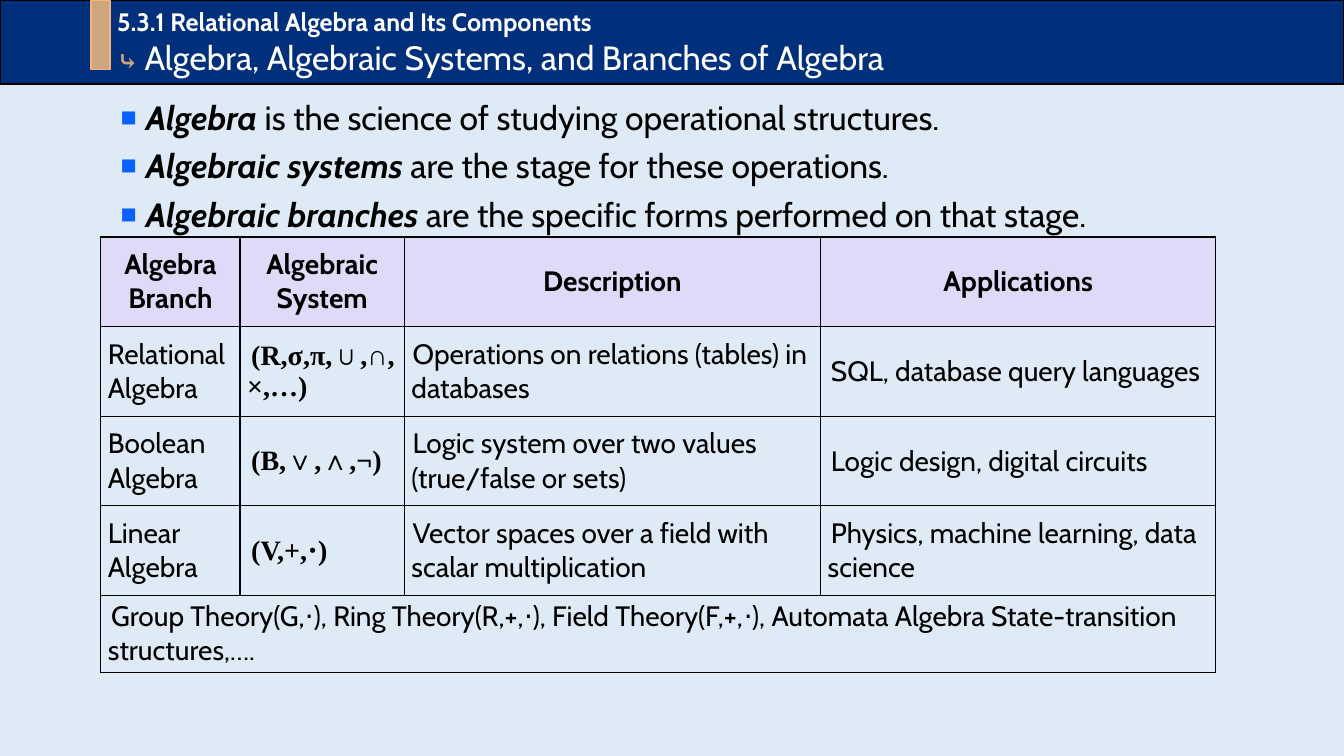
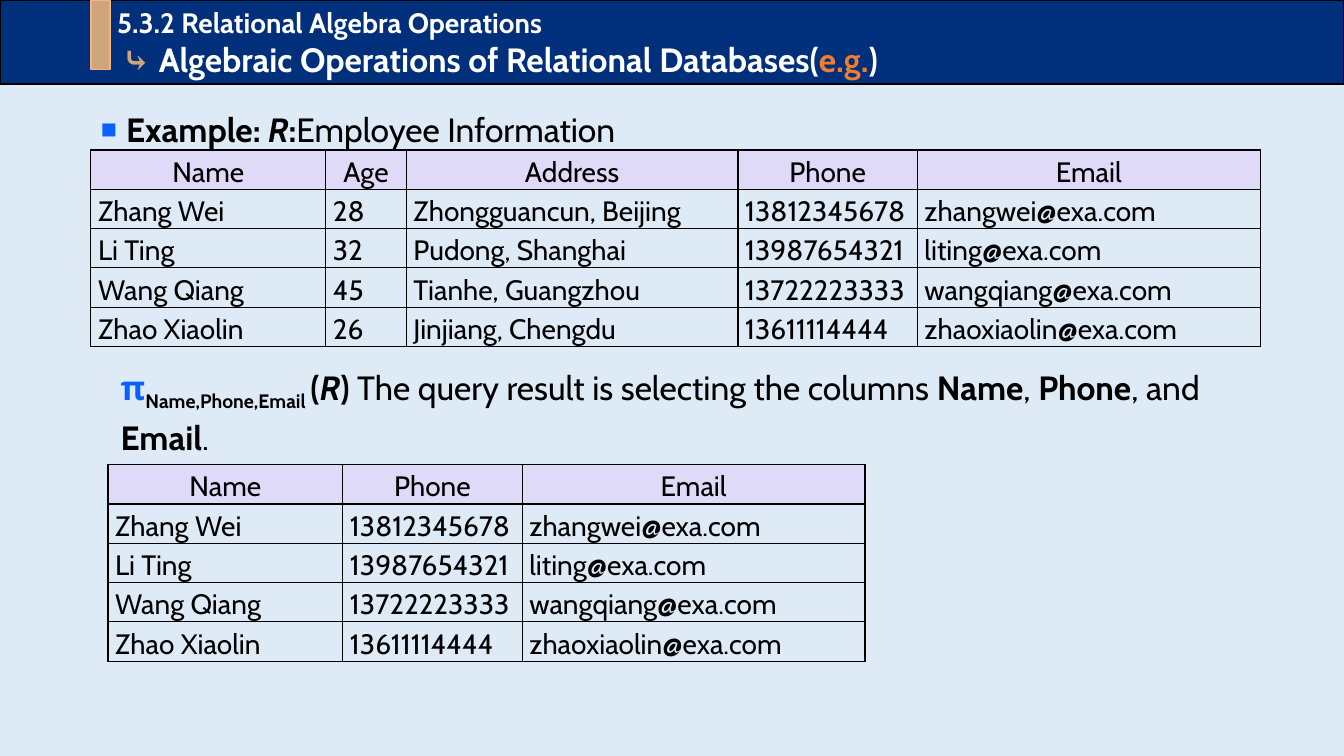
from dataclasses import dataclass
from lxml import etree
from pptx import Presentation
from pptx.dml.color import RGBColor
from pptx.enum import shapes, text
from pptx.oxml.ns import qn
from pptx.util import Cm, Pt


@dataclass(frozen=True)
class Theme:
    back: str = "DEEBF7"
    navy: str = "002F7C"
    tan: str = "CFA57C"
    peach: str = "F4B183"
    orange: str = "ED7D31"
    blue: str = "0B61FF"
    lilac: str = "DEDAF8"
    black: str = "000000"
    white: str = "FFFFFF"
    font: str = "Cabin"
    serif: str = "Times New Roman"
    small: int = 18
    cell: int = 20
    large: int = 24


T = Theme()
WIDE = 33.87
ALIGN = text.PP_ALIGN
NO_STYLE = "{2D5ABB26-0587-4C30-8999-92F81FD0307C}"
BOLD = {"bold": True}
TERM = {"bold": True, "ital": True}


def rgb(hue):
    return RGBColor.from_string(hue)


def put(para, words, size=T.large, hue=T.black, font=T.font,
        bold=False, ital=False, base=0):
    """Add one run; base is the shift from the baseline in percent."""
    run = para.add_run()
    run.text = words
    face = run.font
    face.size, face.name, face.bold, face.italic = Pt(size), font, bold, ital
    face.color.rgb = rgb(hue)
    if base:
        run._r.get_or_add_rPr().set("baseline", str(base * 1000))


def dent(para, left=0, first=0):
    props = para._p.get_or_add_pPr()
    props.set("marL", str(Cm(left)))
    props.set("indent", str(Cm(first)))
    return props


def bullet(para):
    props = dent(para, 0.64, -0.64)
    hue = etree.SubElement(props, qn("a:buClr"))
    etree.SubElement(hue, qn("a:srgbClr"), val=T.blue)
    etree.SubElement(props, qn("a:buSzPct"), val="80000")
    etree.SubElement(props, qn("a:buFont"), typeface="Arial")
    etree.SubElement(props, qn("a:buChar"), char="■")


def paint(shape, fill, line):
    shape.fill.solid()
    shape.fill.fore_color.rgb = rgb(fill)
    shape.line.color.rgb = rgb(line)
    shape.line.width = Pt(1)


def place(shape, x, y, w, h):
    shape.left, shape.top, shape.width, shape.height = map(Cm, (x, y, w, h))


def head(slide, section, topic, size, shift=0):
    """Fill the title band; topic is a list of (words, format) runs."""
    band = slide.shapes.title
    place(band, 0, 0, WIDE, 2.12)
    paint(band, T.navy, T.black)
    frame = band.text_frame
    frame.margin_left = Cm(2.95)
    frame.vertical_anchor = text.MSO_ANCHOR.MIDDLE
    frame.auto_size = text.MSO_AUTO_SIZE.NONE
    top, sub = frame.paragraphs[0], frame.add_paragraph()
    for para in (top, sub):
        para.alignment = ALIGN.LEFT
    put(top, section, size=size, hue=T.white, bold=True)
    dent(sub, shift)
    for words, form in topic:
        put(sub, words, **{"hue": T.white, **form})
    bar = slide.shapes.add_shape(shapes.MSO_SHAPE.RECTANGLE,
                                 Cm(2.29), 0, Cm(0.48), Cm(1.75))
    bar.shadow.inherit = False
    paint(bar, T.tan, T.peach)


def body(slide, box, lines, space=1.1, marks=True):
    """Write lines, each a list of (words, format) runs, into a box."""
    frame = slide.shapes.add_textbox(*map(Cm, box)).text_frame
    frame.word_wrap = True
    for i, line in enumerate(lines):
        para = frame.add_paragraph() if i else frame.paragraphs[0]
        para.line_spacing = space
        if i:
            para.space_before = Pt(3)
        if marks:
            bullet(para)
        for words, form in line:
            put(para, words, **form)


def edge(cell):
    props = cell._tc.get_or_add_tcPr()
    for i, side in enumerate(("lnL", "lnR", "lnT", "lnB")):
        line = etree.Element(qn("a:" + side), w=str(Pt(1)))
        fill = etree.SubElement(line, qn("a:solidFill"))
        etree.SubElement(fill, qn("a:srgbClr"), val=T.black)
        props.insert(i, line)


def grid(slide, spot, cols, rows, data, forms=None, heads=None,
         space=1.0, anchor=text.MSO_ANCHOR.TOP):
    """Draw a table; forms gives (alignment, first indent, run format) by column."""
    forms = forms or [(ALIGN.LEFT, 0, {})] * len(cols)
    area = map(Cm, (*spot, sum(cols), sum(rows)))
    frame = slide.shapes.add_table(len(rows), len(cols), *area)
    table = frame.table
    table.first_row = table.horz_banding = False
    table._tbl.tblPr.find(qn("a:tableStyleId")).text = NO_STYLE
    for col, wide in zip(table.columns, cols):
        col.width = Cm(wide)
    for row, tall in zip(table.rows, rows):
        row.height = Cm(tall)
    for r in range(len(rows)):
        for c, (align, first, form) in enumerate(forms):
            cell = table.cell(r, c)
            cell.margin_left = cell.margin_right = Cm(0.18)
            cell.margin_top = cell.margin_bottom = 0
            cell.vertical_anchor = anchor
            if r:
                cell.fill.background()
            else:
                cell.fill.solid()
                cell.fill.fore_color.rgb = rgb(T.lilac)
                align, first, form = ALIGN.CENTER, 0, heads or {}
            edge(cell)
            if c < len(data[r]):
                para = cell.text_frame.paragraphs[0]
                para.alignment = align
                para.line_spacing = space
                dent(para, 0, first)
                put(para, data[r][c], size=T.cell, **form)
    return table


def theory(slide):
    head(slide, "5.3.1 Relational Algebra and Its Components", [
        ("⤷ ", {"size": T.small, "hue": T.tan, "font": T.serif, "bold": True}),
        ("Algebra, Algebraic Systems, and Branches of Algebra", {}),
    ], T.small)
    body(slide, (2.79, 2.21, 28.85, 4), [
        [("Algebra", TERM), (" is the science of studying operational structures.", {})],
        [("Algebraic systems ", TERM), ("are the stage for these operations.", {})],
        [("Algebraic branches ", TERM),
         ("are the specific forms performed on that stage.", {})],
    ])
    data = [
        ("Algebra Branch", "Algebraic System", "Description", "Applications"),
        ("Relational Algebra", "(R,σ,π,∪,∩,×,…)",
         "Operations on relations (tables) in databases",
         "SQL, database query languages"),
        ("Boolean Algebra", "(B,∨,∧,¬)",
         "Logic system over two values (true/false or sets)",
         "Logic design, digital circuits"),
        ("Linear Algebra", "(V,+,⋅)",
         "Vector spaces over a field with scalar multiplication",
         "Physics, machine learning, data science"),
        ("Group Theory(G,⋅), Ring Theory(R,+,⋅), Field Theory(F,+,⋅), "
         "Automata Algebra State-transition structures,….",),
    ]
    forms = [(ALIGN.JUSTIFY, 0, {}),
             (ALIGN.JUSTIFY, 0.1, {"font": T.serif, "bold": True}),
             (ALIGN.LEFT, 0.03, {}),
             (ALIGN.LEFT, 0.08, {})]
    table = grid(slide, (2.54, 5.97), (3.51, 4.14, 10.49, 9.96),
                 [2.26] * 4 + [1.93], data, forms, BOLD,
                 anchor=text.MSO_ANCHOR.MIDDLE)
    last = table.cell(4, 0)
    last.merge(table.cell(4, 3))
    para = last.text_frame.paragraphs[0]
    para.alignment = ALIGN.LEFT
    dent(para, 0, 0.08)


def query(slide):
    head(slide, "5.3.2 Relational Algebra Operations", [
        ("⤷ ", {"hue": T.tan, "font": T.serif, "bold": True}),
        ("Algebraic Operations of Relational Databases(", BOLD),
        ("e.g.", {"hue": T.orange, "bold": True}),
        (")", BOLD),
    ], T.cell, 0.13)
    body(slide, (2.29, 2.41, 30, 1.4), [
        [("Example: ", BOLD), ("R", TERM), (":", BOLD), ("Employee Information", {})],
    ], 1.2)
    staff = [
        ("Name", "Age", "Address", "Phone", "Email"),
        ("Zhang Wei", "28", "Zhongguancun, Beijing", "13812345678", "zhangwei@exa.com"),
        ("Li Ting", "32", "Pudong, Shanghai", "13987654321", "liting@exa.com"),
        ("Wang Qiang", "45", "Tianhe, Guangzhou", "13722223333", "wangqiang@exa.com"),
        ("Zhao Xiaolin", "26", "Jinjiang, Chengdu", "13611114444", "zhaoxiaolin@exa.com"),
    ]
    wide = (5.92, 2.03, 8.36, 4.52, 8.64)
    keep = (0, 3, 4)
    rows = [0.99] * len(staff)
    grid(slide, (2.29, 3.78), wide, rows, staff, space=1.15)
    body(slide, (2.79, 9, 29.2, 2.7), [[
        ("π", {"hue": T.blue, "bold": True}),
        ("Name,Phone,Email ", {"bold": True, "base": -25}),
        ("(", BOLD), ("R", TERM), (")", BOLD),
        (" The query result is selecting the columns ", {}),
        ("Name", BOLD), (", ", {}), ("Phone", BOLD), (", and ", {}),
        ("Email", BOLD), (".", {}),
    ]], marks=False)
    grid(slide, (2.72, 11.71), [wide[k] for k in keep], rows,
         [[row[k] for k in keep] for row in staff], space=1.15)


def main():
    deck = Presentation()
    deck.slide_width, deck.slide_height = Cm(WIDE), Cm(19.05)
    fill = deck.slide_master.background.fill
    fill.solid()
    fill.fore_color.rgb = rgb(T.back)
    for build in (theory, query):
        build(deck.slides.add_slide(deck.slide_layouts[5]))
    deck.save("out.pptx")


if __name__ == "__main__":
    main()
